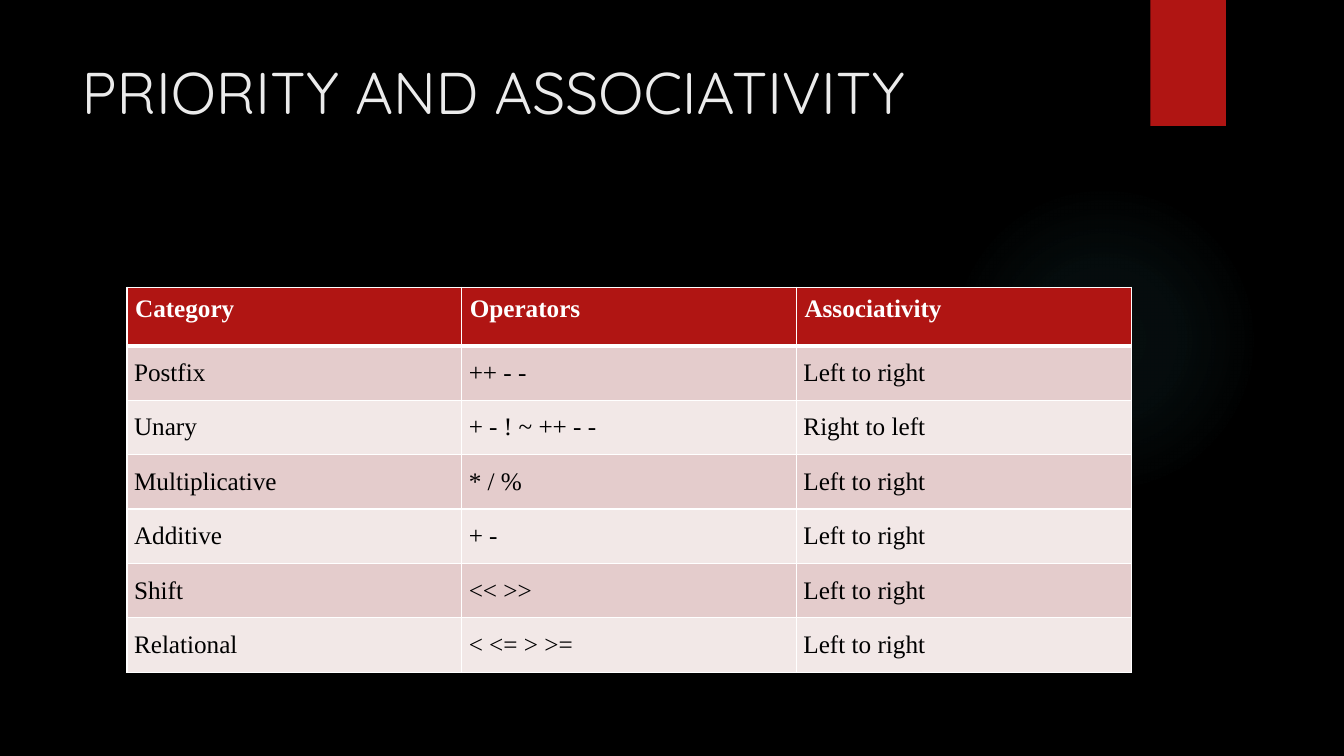
from dataclasses import dataclass

from lxml import etree
from pptx import Presentation
from pptx.dml import color as dml
from pptx.enum import shapes, text
from pptx.oxml import ns
from pptx.util import Inches, Pt


@dataclass(frozen=True)
class Theme:
    background: str = "000000"
    accent: str = "B01513"
    glow: str = "50B9C1"
    title_color: str = "EBEBEB"
    border: str = "FFFFFF"
    header_text: str = "FFFFFF"
    body_text: str = "000000"
    bands: tuple[str, str] = ("E4CCCC", "F2E8E7")
    title_font: str = "Quicksand"
    table_font: str = "Times New Roman"
    title_size: int = 42
    table_size: int = 18


@dataclass(frozen=True)
class Box:
    left: float
    top: float
    width: float
    height: float

    def lengths(self):
        return [Inches(v) for v in (self.left, self.top, self.width, self.height)]


@dataclass(frozen=True)
class Operator:
    category: str
    operators: str
    associativity: str = "Left to right"

    def texts(self) -> tuple[str, str, str]:
        return self.category, self.operators, self.associativity


@dataclass(frozen=True)
class CellStyle:
    fill: str
    text_color: str
    bold: bool
    margin: float
    anchor: text.MSO_ANCHOR
    bottom_border: int = 1


THEME = Theme()
TITLE_BOX = Box(0.71, 0.5, 10.29, 1.53)
GLOW_BOX = Box(9.41, 1.83, 3.08, 3.08)
RIBBON_BOX = Box(11.41, 0, 0.75, 1.25)
TABLE_BOX = Box(1.26, 2.85, 9.96, 3.82)
HEADER_HEIGHT, ROW_HEIGHT = 0.58, 0.54

HEADER = Operator("Category", "Operators", "Associativity")
OPERATORS = [
    Operator("Postfix", "++ - -"),
    Operator("Unary", "+ - ! ~ ++ - -", "Right to left"),
    Operator("Multiplicative", "* / %"),
    Operator("Additive", "+ -"),
    Operator("Shift", "<< >>"),
    Operator("Relational", "< <= > >="),
]


def add_xml(parent, tag: str, **attributes):
    values = {name: str(value) for name, value in attributes.items()}
    return etree.SubElement(parent, ns.qn(tag), values)


def format_font(font, color: str, **values) -> None:
    for name, value in values.items():
        setattr(font, name, value)
    font.color.rgb = dml.RGBColor.from_string(color)


def paint(fill, color: str) -> None:
    fill.solid()
    fill.fore_color.rgb = dml.RGBColor.from_string(color)


def add_plain_shape(page, kind: shapes.MSO_SHAPE, box: Box):
    shape = page.shapes.add_shape(kind, *box.lengths())
    shape.shadow.inherit = False
    shape.line.fill.background()
    return shape


def add_glow(page) -> None:
    """Add a faint disc that fades out from its centre."""
    glow = add_plain_shape(page, shapes.MSO_SHAPE.OVAL, GLOW_BOX)
    glow.fill.gradient()
    gradient = glow.element.spPr.find(ns.qn("a:gradFill"))
    for child in list(gradient):
        gradient.remove(child)
    stops = add_xml(gradient, "a:gsLst")
    for position, opacity in ((0, 7), (36, 6), (69, 0)):
        stop = add_xml(stops, "a:gs", pos=position * 1000)
        shade = add_xml(stop, "a:srgbClr", val=THEME.glow)
        add_xml(shade, "a:alpha", val=opacity * 1000)
    route = add_xml(gradient, "a:path", path="circle")
    add_xml(route, "a:fillToRect", l=50000, t=50000, r=50000, b=50000)


def add_ribbon(page) -> None:
    ribbon = add_plain_shape(page, shapes.MSO_SHAPE.RECTANGLE, RIBBON_BOX)
    paint(ribbon.fill, THEME.accent)
    effects = ribbon.element.spPr.find(ns.qn("a:effectLst"))
    shadow = add_xml(effects, "a:outerShdw", blurRad=Pt(3), dist=Pt(2),
                     dir=90 * 60000, rotWithShape=0)
    shade = add_xml(shadow, "a:srgbClr", val="000000")
    add_xml(shade, "a:alpha", val=45000)


def set_title(page, words: str) -> None:
    title = page.shapes.title
    title.left, title.top, title.width, title.height = TITLE_BOX.lengths()
    frame = title.text_frame
    frame.word_wrap = True
    frame.vertical_anchor = text.MSO_ANCHOR.TOP
    para = frame.paragraphs[0]
    para.alignment = text.PP_ALIGN.LEFT
    span = para.add_run()
    span.text = words
    format_font(span.font, THEME.title_color, name=THEME.title_font,
                size=Pt(THEME.title_size))
    title.element.getparent().append(title.element)


def fill_cell(cell, words: str, style: CellStyle) -> None:
    for side in ("left", "right", "top", "bottom"):
        setattr(cell, f"margin_{side}", Inches(style.margin))
    cell.vertical_anchor = style.anchor
    properties = cell._tc.get_or_add_tcPr()
    for side, width in (("L", 1), ("R", 1), ("T", 1), ("B", style.bottom_border)):
        line = add_xml(properties, f"a:ln{side}", w=Pt(width))
        add_xml(add_xml(line, "a:solidFill"), "a:srgbClr", val=THEME.border)
    paint(cell.fill, style.fill)
    span = cell.text_frame.paragraphs[0].add_run()
    span.text = words
    format_font(span.font, style.text_color, name=THEME.table_font,
                size=Pt(THEME.table_size), bold=style.bold)


def add_operator_table(page) -> None:
    rows = [HEADER, *OPERATORS]
    columns = len(HEADER.texts())
    table = page.shapes.add_table(len(rows), columns, *TABLE_BOX.lengths()).table
    for column in table.columns:
        column.width = Inches(TABLE_BOX.width / columns)
    header_style = CellStyle(THEME.accent, THEME.header_text, True, 0.08,
                             text.MSO_ANCHOR.TOP, bottom_border=3)
    band_styles = [CellStyle(band, THEME.body_text, False, 0.07,
                             text.MSO_ANCHOR.MIDDLE) for band in THEME.bands]
    for index, row in enumerate(rows):
        table.rows[index].height = Inches(ROW_HEIGHT if index else HEADER_HEIGHT)
        style = band_styles[(index - 1) % 2] if index else header_style
        for cell, words in zip(table.rows[index].cells, row.texts()):
            fill_cell(cell, words, style)


def main() -> None:
    deck = Presentation()
    deck.slide_width, deck.slide_height = Inches(13.33), Inches(7.5)
    page = deck.slides.add_slide(deck.slide_layouts.get_by_name("Title Only"))
    paint(page.background.fill, THEME.background)
    add_glow(page)
    add_ribbon(page)
    set_title(page, "PRIORITY AND ASSOCIATIVITY")
    add_operator_table(page)
    deck.save("out.pptx")


if __name__ == "__main__":
    main()
